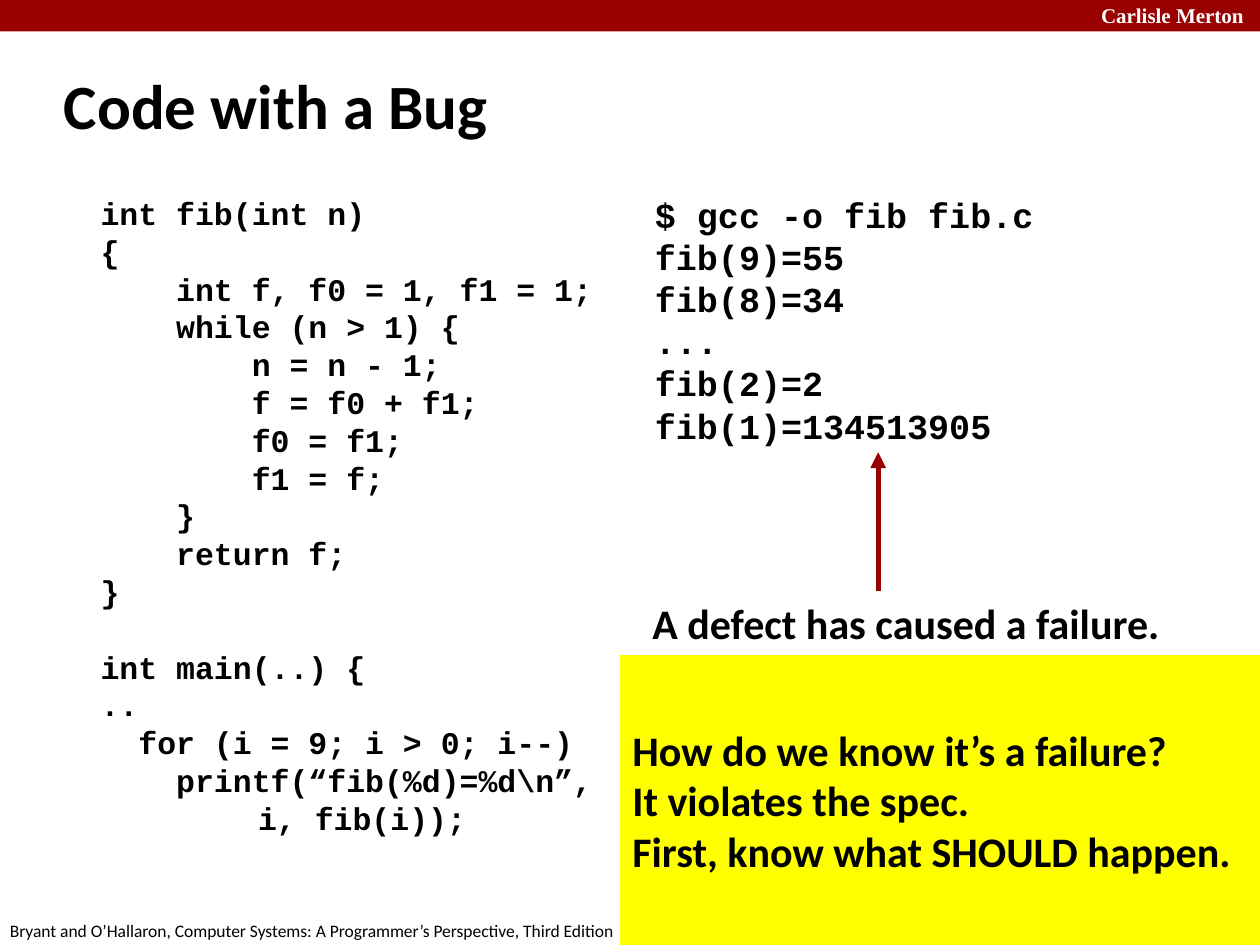
import pptx
import pptx.dml.color
import pptx.enum.shapes
import pptx.enum.text
import pptx.oxml
import pptx.oxml.ns
import pptx.util
from pptx.util import Inches

RED = pptx.dml.color.RGBColor(0x99, 0x00, 0x00)
YELLOW = pptx.dml.color.RGBColor(0xFF, 0xFF, 0x00)
WHITE = pptx.dml.color.RGBColor(0xFF, 0xFF, 0xFF)
BLACK = pptx.dml.color.RGBColor(0x00, 0x00, 0x00)

TOP = pptx.enum.text.MSO_ANCHOR.TOP
MIDDLE = pptx.enum.text.MSO_ANCHOR.MIDDLE

SOURCE_CODE = r"""int fib(int n)
{
    int f, f0 = 1, f1 = 1;
    while (n > 1) {
        n = n - 1;
        f = f0 + f1;
        f0 = f1;
        f1 = f;
    }
    return f;
"""
SOURCE_END = (
    "}\v\vint main(..) {\v..\v  for (i = 9; i > 0; i--)\v"
    "    printf(“fib(%d)=%d\\n”,\v\t     i, fib(i));"
)
OUTPUT = (
    "$ gcc -o fib fib.c fib(9)=55 \vfib(8)=34 \v... \v"
    "fib(2)=2 fib(1)=134513905"
)


class Deck:
    def __init__(self, s):
        self.s = s
        self.font = "Calibri"
        self.code_font = "Courier New"

    def set_text(self, sp, text, size, bold=True, color=BLACK, font=None,
                 anchor=TOP, wrap=True, leading=None):
        """Fill a shape with left-aligned text; leading is a multiple of size."""
        tf = sp.text_frame
        tf.word_wrap = wrap
        tf.vertical_anchor = anchor
        tf.text = text
        for p in tf.paragraphs:
            p.alignment = pptx.enum.text.PP_ALIGN.LEFT
            if leading:
                p.line_spacing = pptx.util.Pt(size * leading)
            for r in p.runs:
                r.font.name = font or self.font
                r.font.size = pptx.util.Pt(size)
                r.font.bold = bold
                r.font.color.rgb = color

    def text(self, x, y, w, h, text, size, **style):
        sp = self.s.shapes.add_textbox(Inches(x), Inches(y), Inches(w), Inches(h))
        self.set_text(sp, text, size, **style)

    def code(self, x, text, size):
        self.text(x, 1.49, 4.23, 5.44, text, size, font=self.code_font, leading=1.2)

    def rect(self, x, y, w, h, fill):
        sp = self.s.shapes.add_shape(
            pptx.enum.shapes.MSO_SHAPE.RECTANGLE,
            Inches(x), Inches(y), Inches(w), Inches(h))
        sp.shadow.inherit = False
        sp.fill.solid()
        sp.fill.fore_color.rgb = fill
        sp.line.fill.background()
        return sp

    def arrow(self, x1, y1, x2, y2, color, width):
        c = self.s.shapes.add_connector(
            pptx.enum.shapes.MSO_CONNECTOR.STRAIGHT,
            Inches(x1), Inches(y1), Inches(x2), Inches(y2))
        c.line.color.rgb = color
        c.line.width = pptx.util.Pt(width)
        ln = c.line._get_or_add_ln()
        head = pptx.oxml.parse_xml(
            f'<a:tailEnd {pptx.oxml.ns.nsdecls("a")} type="triangle"/>')
        ln.append(head)
        ln.addnext(pptx.oxml.parse_xml(
            f'<a:effectLst {pptx.oxml.ns.nsdecls("a")}/>'))


def main():
    prs = pptx.Presentation()
    prs.slide_width, prs.slide_height = Inches(10), Inches(7.5)
    deck = Deck(prs.slides.add_slide(prs.slide_layouts[6]))

    deck.rect(0, 0, 10, 0.25, RED)
    deck.text(8.64, -0.03, 1.43, 0.3, "Carlisle Merton", 12,
              color=WHITE, font="Times New Roman")
    deck.text(-0.02, 7.25, 5.08, 0.27,
              "Bryant and O’Hallaron, Computer Systems: "
              "A Programmer’s Perspective, Third Edition",
              10, bold=False, wrap=False)

    deck.text(0.41, 0.41, 8.3, 0.83, "Code with a Bug", 36, anchor=MIDDLE)
    deck.code(0.7, SOURCE_CODE + SOURCE_END, 18)
    deck.code(5.1, OUTPUT, 20)

    deck.arrow(6.97, 4.69, 6.97, 3.59, RED, 3)
    deck.text(5.08, 4.69, 4.27, 0.5, "A defect has caused a failure.", 24, wrap=False)
    note = deck.rect(4.92, 5.2, 5.08, 2.3, YELLOW)
    deck.set_text(note,
                  "How do we know it’s a failure?\vIt violates the spec.\n"
                  "First, know what SHOULD happen.", 24, anchor=MIDDLE)

    prs.save("out.pptx")


if __name__ == "__main__":
    main()
